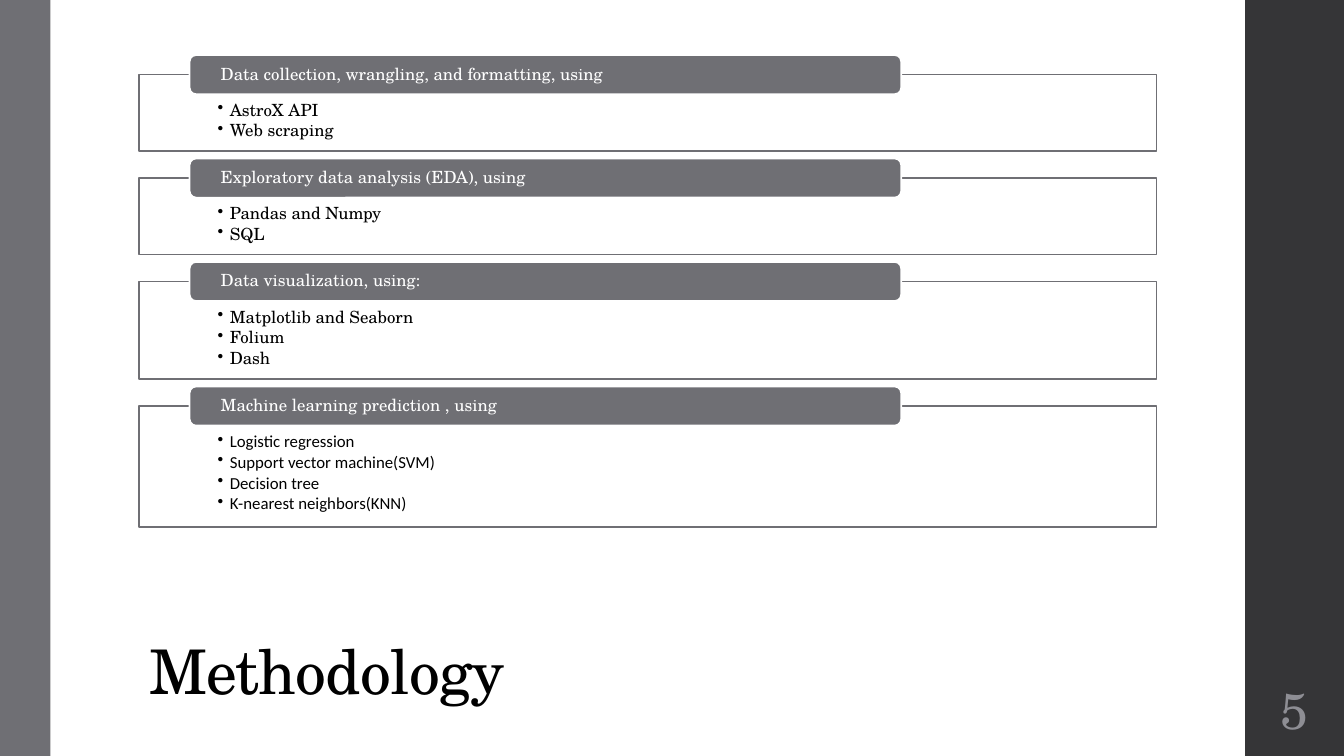
from lxml import etree
from pptx import Presentation
from pptx.dml.color import RGBColor
from pptx.enum.shapes import MSO_SHAPE
from pptx.enum.text import MSO_ANCHOR, MSO_AUTO_SIZE, PP_ALIGN
from pptx.oxml.ns import qn
from pptx.util import Inches, Pt

RECT, ROUND = MSO_SHAPE.RECTANGLE, MSO_SHAPE.ROUNDED_RECTANGLE
TOP, MIDDLE, BOTTOM = MSO_ANCHOR.TOP, MSO_ANCHOR.MIDDLE, MSO_ANCHOR.BOTTOM
LEFT, CENTER = PP_ALIGN.LEFT, PP_ALIGN.CENTER
NO_FIT = MSO_AUTO_SIZE.NONE

WIDE, HIGH = Inches(13.33), Inches(7.5)
SERIF, SANS = "TeX Gyre Schola", "Calibri"
GRAY, DARK, PALE = "6F6F74", "353537", "8E8E94"
WHITE, BLACK = "FFFFFF", "000000"

# All places and sizes are percent of the slide's width or height.
EDGE = 10.35
BOX_WIDTH = 75.69
FIRST_TOP, GAP = 9.87, 3.55
TAB_LEFT, TAB_WIDTH, TAB_HEIGHT = 14.1, 52.96, 5.2

# Heading, box height, font of the items, items
STEPS = [
    ("Data collection, wrangling, and formatting, using", 10.13, SERIF,
     ["AstroX API", "Web scraping"]),
    ("Exploratory data analysis (EDA), using", 10.13, SERIF,
     ["Pandas and Numpy", "SQL"]),
    ("Data visualization, using:", 12.93, SERIF,
     ["Matplotlib and Seaborn", "Folium", "Dash"]),
    ("Machine learning prediction , using", 16, SANS,
     ["Logistic regression", "Support vector machine(SVM)",
      "Decision tree", "K-nearest neighbors(KNN)"]),
]


def color(code):
    return RGBColor.from_string(code)


def across(share):
    return round(WIDE * share / 100)


def down(share):
    return round(HIGH * share / 100)


def area(left, top, width, height):
    return across(left), down(top), across(width), down(height)


def add_block(slide, kind, place, fill, line=None, weight=1):
    block = slide.shapes.add_shape(kind, *area(*place))
    block.shadow.inherit = False
    block.fill.solid()
    block.fill.fore_color.rgb = color(fill)
    if line:
        block.line.color.rgb = color(line)
        block.line.width = Pt(weight)
    else:
        block.line.fill.background()
    return block


def set_frame(shape, anchor, left, top, right, bottom):
    """Set the anchor and the insets, and return the text frame."""
    frame = shape.text_frame
    frame.word_wrap = True
    frame.auto_size = NO_FIT
    frame.vertical_anchor = anchor
    frame.margin_left, frame.margin_right = across(left), across(right)
    frame.margin_top, frame.margin_bottom = down(top), down(bottom)
    return frame


def write(para, text, size, ink, font=SERIF, align=LEFT, after=6):
    para.alignment = align
    para.line_spacing = 0.9
    para.space_before = Pt(0)
    para.space_after = Pt(after)
    run = para.add_run()
    run.text = text
    run.font.size = Pt(size)
    run.font.name = font
    run.font.color.rgb = color(ink)
    return run


def add_bullet(para):
    props = para._p.get_or_add_pPr()
    indent = Inches(0.12)
    props.set("marL", str(indent))
    props.set("indent", str(-indent))
    etree.SubElement(props, qn("a:buChar")).set("char", "•")


def add_step(slide, top, height, heading, font, items):
    box = add_block(slide, RECT, (EDGE, top, BOX_WIDTH, height),
                    WHITE, GRAY, 1.1)
    frame = set_frame(box, TOP, 5.85, 3.6, 5.85, 1.2)
    for i, item in enumerate(items):
        para = frame.add_paragraph() if i else frame.paragraphs[0]
        write(para, item, 12, BLACK, font, after=1.8)
        add_bullet(para)

    tab = add_block(slide, ROUND,
                    (TAB_LEFT, top - TAB_HEIGHT / 2, TAB_WIDTH, TAB_HEIGHT),
                    GRAY, WHITE, 1.35)
    frame = set_frame(tab, MIDDLE, 2.18, 0, 2.18, 0)
    write(frame.paragraphs[0], heading, 12, WHITE, after=0)


def add_title(slide, text):
    title = slide.shapes.title
    title.left, title.top, title.width, title.height = area(
        EDGE, 74.93, 79.52, 19.33)
    frame = set_frame(title, BOTTOM, 0.75, 0.67, 0.75, 0.67)
    run = write(frame.paragraphs[0], text, 44, BLACK)
    run.font._element.set("spc", "-50")


def add_number(slide, text):
    box = slide.shapes.add_textbox(*area(92.65, 90, 7.35, 8.67))
    frame = set_frame(box, MIDDLE, 0.38, 0.67, 0.38, 0.67)
    write(frame.paragraphs[0], text, 36, PALE, align=CENTER)


def main():
    deck = Presentation()
    deck.slide_width, deck.slide_height = WIDE, HIGH
    slide = deck.slides.add_slide(deck.slide_layouts[5])

    add_block(slide, RECT, (92.65, 0, 7.35, 100), DARK)
    add_block(slide, RECT, (0, 0, 3.75, 100), GRAY)
    add_title(slide, "Methodology")
    add_number(slide, "5")

    top = FIRST_TOP
    for heading, height, font, items in STEPS:
        add_step(slide, top, height, heading, font, items)
        top += height + GAP

    deck.save("out.pptx")


if __name__ == "__main__":
    main()
